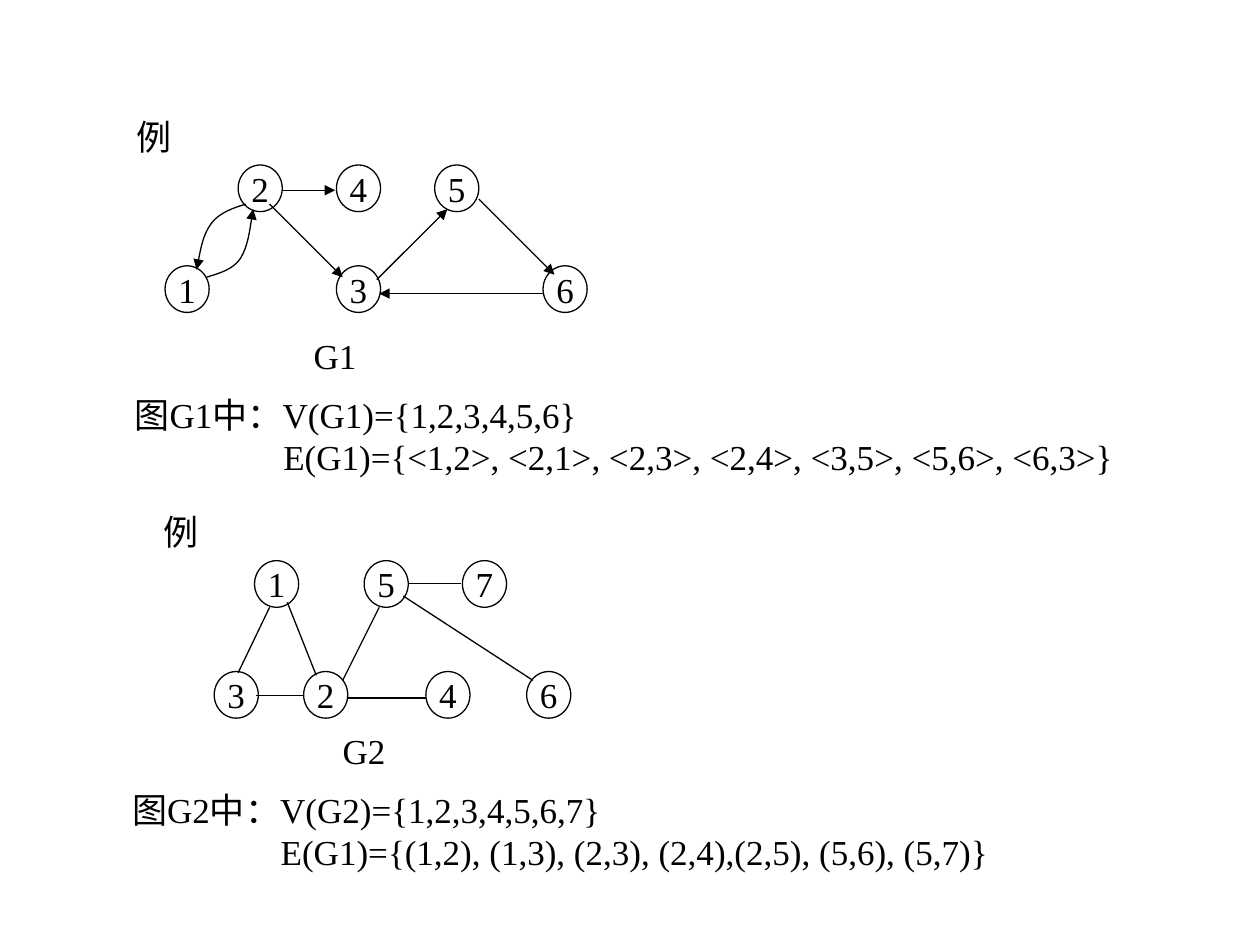
from lxml import etree
from pptx import Presentation
from pptx.dml.color import RGBColor
from pptx.enum.shapes import MSO_CONNECTOR, MSO_SHAPE
from pptx.enum.text import MSO_ANCHOR, PP_ALIGN
from pptx.oxml.ns import qn
from pptx.util import Inches, Pt

BLACK = "000000"
NODE_W, NODE_H = 0.35, 0.37
INDENT = 1.18


def rgb(value):
    return RGBColor.from_string(value)


def write(sp, lines, align):
    tf = sp.text_frame
    tf.word_wrap = False
    tf.vertical_anchor = MSO_ANCHOR.MIDDLE
    for i, line in enumerate(lines):
        p = tf.paragraphs[0] if i == 0 else tf.add_paragraph()
        p.text = line
        p.alignment = align
        p.font.size = Pt(20)
        p.font.name = "Times New Roman"
        p.font.color.rgb = rgb(BLACK)
    return tf


def style_line(sp, arrow):
    sp.line.color.rgb = rgb(BLACK)
    sp.line.width = Pt(0.75)
    if arrow:
        etree.SubElement(sp.line._get_or_add_ln(), qn("a:tailEnd"), type="triangle")


def add_label(shapes, text, x, y, w):
    sp = shapes.add_textbox(Inches(x), Inches(y), Inches(w), Inches(0.44))
    write(sp, [text], PP_ALIGN.CENTER)


def add_definition(shapes, lines, x, y, w):
    sp = shapes.add_textbox(Inches(x), Inches(y), Inches(w), Inches(0.77))
    tf = write(sp, lines, PP_ALIGN.LEFT)
    pPr = tf.paragraphs[1]._p.get_or_add_pPr()
    pPr.set("marL", str(Inches(INDENT)))
    pPr.set("indent", "0")


def add_node(shapes, name, x, y):
    sp = shapes.add_shape(MSO_SHAPE.OVAL, Inches(x), Inches(y),
                          Inches(NODE_W), Inches(NODE_H))
    sp.shadow.inherit = False
    sp.fill.background()
    style_line(sp, False)
    write(sp, [name], PP_ALIGN.CENTER)


def add_edge(shapes, ends, arrow):
    line = shapes.add_connector(MSO_CONNECTOR.STRAIGHT, *map(Inches, ends))
    style_line(line, arrow)
    etree.SubElement(line._element.spPr, qn("a:effectLst"))


def add_curve(shapes, points):
    start, *rest = [(Inches(x), Inches(y)) for x, y in points]
    builder = shapes.build_freeform(*start)
    builder.add_line_segments(rest, close=False)
    sp = builder.convert_to_shape()
    sp.shadow.inherit = False
    sp.fill.background()
    style_line(sp, True)
    outline = sp._element.find(".//" + qn("a:path"))
    segments = outline.findall(qn("a:lnTo"))
    for i in range(0, len(segments), 3):
        bezier = etree.SubElement(outline, qn("a:cubicBezTo"))
        for segment in segments[i:i + 3]:
            bezier.append(segment[0])
            outline.remove(segment)


def add_graph(slide, example, caption, rows, edges, curves=(), directed=False):
    shapes = slide.shapes.add_group_shape().shapes
    add_label(shapes, "例", *example, 0.48)
    for y, nodes in rows.items():
        for name, x in nodes.items():
            add_node(shapes, name, x, y)
    for ends in edges:
        add_edge(shapes, ends, directed)
    for points in curves:
        add_curve(shapes, points)
    add_label(shapes, *caption, 0.54)


def main():
    prs = Presentation()
    prs.slide_width, prs.slide_height = Inches(10), Inches(7.5)
    s = prs.slides.add_slide(prs.slide_layouts[6])

    add_graph(
        s, (0.98, 0.86), ("G1", 2.39, 2.6),
        {1.31: {"2": 1.89, "4": 2.67, "5": 3.45},
         2.11: {"1": 1.31, "3": 2.67, "6": 4.31}},
        [(2.24, 1.51, 2.66, 1.51), (2.14, 1.62, 2.72, 2.2),
         (4.32, 2.33, 3.01, 2.33), (2.99, 2.22, 3.55, 1.66),
         (3.8, 1.58, 4.4, 2.18)],
        [[(1.95, 1.62), (1.85, 1.65), (1.74, 1.69), (1.68, 1.77),
          (1.61, 1.86), (1.57, 2.09), (1.56, 2.14)],
         [(1.64, 2.2), (1.74, 2.17), (1.85, 2.14), (1.91, 2.05),
          (1.97, 1.95), (2, 1.71), (2.01, 1.66)]],
        directed=True)
    add_definition(
        s.shapes,
        ["图G1中：V(G1)={1,2,3,4,5,6}",
         "E(G1)={<1,2>, <2,1>, <2,3>, <2,4>, <3,5>, <5,6>, <6,3>}"],
        0.97, 3.07, 7.97)

    add_graph(
        s, (1.2, 4), ("G2", 2.62, 5.74),
        {4.45: {"1": 2.02, "5": 2.89, "7": 3.67},
         5.33: {"3": 1.7, "2": 2.41, "4": 3.38, "6": 4.18}},
        [(2.14, 4.82, 1.89, 5.34), (2.03, 5.52, 2.41, 5.52),
         (2.28, 4.78, 2.51, 5.36), (3.01, 4.82, 2.72, 5.4),
         (2.76, 5.54, 3.38, 5.54), (3.24, 4.63, 3.66, 4.63),
         (3.2, 4.73, 4.23, 5.4)])
    add_definition(
        s.shapes,
        ["图G2中：V(G2)={1,2,3,4,5,6,7}",
         "E(G1)={(1,2), (1,3), (2,3), (2,4),(2,5), (5,6), (5,7)}"],
        0.95, 6.21, 7)

    prs.save("out.pptx")


if __name__ == "__main__":
    main()
